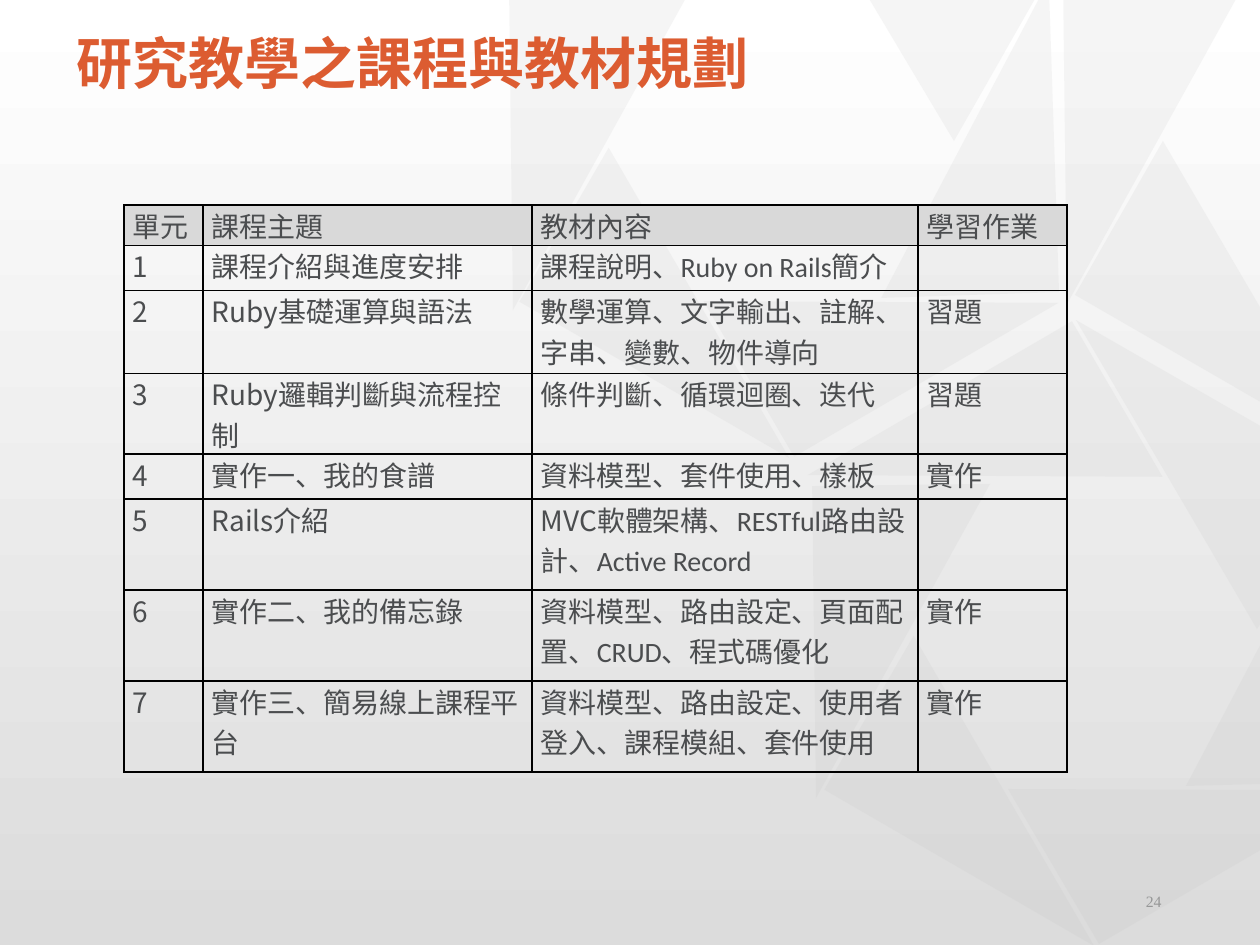
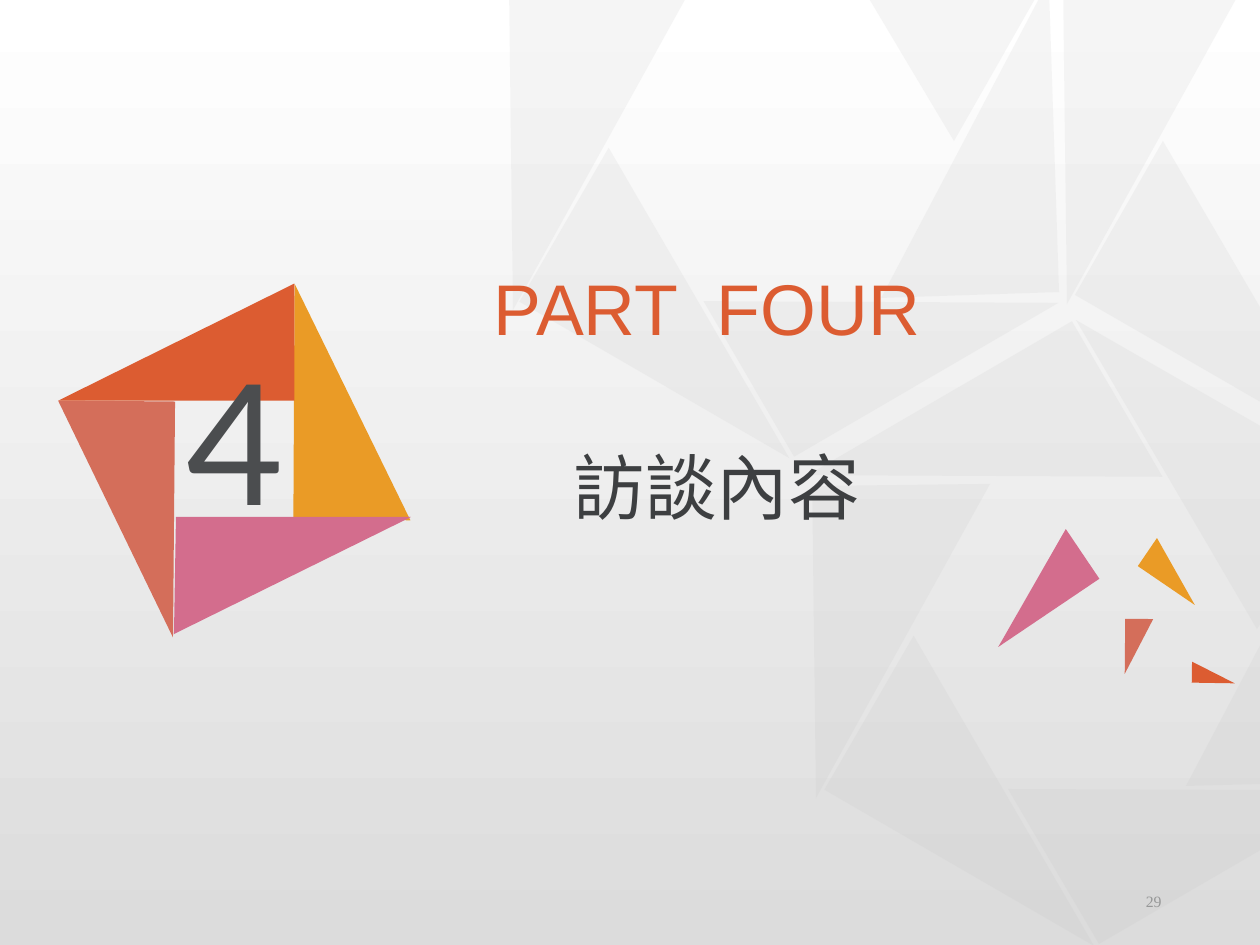
from itertools import takewhile

from lxml.etree import SubElement
from pptx import Presentation
from pptx.dml.color import RGBColor
from pptx.enum.shapes import MSO_SHAPE
from pptx.enum.text import MSO_ANCHOR, MSO_AUTO_SIZE, PP_ALIGN
from pptx.oxml.ns import qn
from pptx.util import Emu, Pt

PX = 914400 / 126
SLIDE_WIDTH, SLIDE_HEIGHT = 1260, 945
ORANGE, AMBER, CORAL, PINK = "DC5C31", "EA9B26", "D46E5A", "D36D8D"
INK, DARK, PAGE_GRAY = "4B4D4F", "3D3F41", "969797"
FACET_GRAY, HEADER_GRAY, BLACK = "BFBFBF", "D9D9D9", "000000"
CJK, CJK_JP = "Noto Sans CJK SC", "Noto Sans CJK JP"

FACET_TRIANGLES = [
    (832, 386, 306, 180, 149.8), (747, 552, 312, 178, 89.3),
    (848, 702, 312, 178, 30.1), (998, 58, 312, 178, 89.3),
    (444, 64, 312, 178, 89.3), (543, 214, 312, 178, 30.1),
    (728, 212, 306, 180, 329.8), (809, 50, 312, 178, 268.1),
]
FACET_OUTLINES = [
    [(1008, 789), (1264, 790), (1264, 848), (1099, 944)],
    [(1264, 638), (1264, 784), (1186, 786)],
    [(1076, 320), (1264, 428), (1264, 619), (1257, 629)],
    [(1163, 141), (1264, 314), (1264, 404), (1075, 295)],
    [(868, -3), (1036, -3), (954, 141)],
]
COURSE_COLUMNS = [79, 329, 386, 149]
COURSE_HEIGHTS = [39, 45, 83, 45, 45, 91, 91, 91]
COURSE_ROWS = [
    ("單元", "課程主題", "教材內容", "學習作業"),
    ("1", "課程介紹與進度安排", "課程說明、Ruby on Rails簡介", ""),
    ("2", "Ruby基礎運算與語法", "數學運算、文字輸出、註解、字串、變數、物件導向", "習題"),
    ("3", "Ruby邏輯判斷與流程控制", "條件判斷、循環迴圈、迭代", "習題"),
    ("4", "實作一、我的食譜", "資料模型、套件使用、樣板", "實作"),
    ("5", "Rails介紹", "MVC軟體架構、RESTful路由設計、Active Record", ""),
    ("6", "實作二、我的備忘錄", "資料模型、路由設定、頁面配置、CRUD、程式碼優化", "實作"),
    ("7", "實作三、簡易線上課程平台", "資料模型、路由設定、使用者登入、課程模組、套件使用", "實作"),
]


def px(*lengths):
    """Turn pixel lengths into EMU."""
    return [Emu(round(length * PX)) for length in lengths]


def color(value):
    """Turn a hex string into a colour."""
    return RGBColor.from_string(value)


def paint(shape, fill, alpha=None):
    """Give a shape a plain fill without line or shadow."""
    shape.shadow.inherit = False
    shape.line.fill.background()
    shape.fill.solid()
    shape.fill.fore_color.rgb = color(fill)
    if alpha:
        fill_color = shape.element.spPr.find(f"{qn('a:solidFill')}/{qn('a:srgbClr')}")
        SubElement(fill_color, qn("a:alpha"), val=str(alpha * 1000))
    return shape


def add_triangle(slide, left, top, width, height, rotation, fill, alpha=None, flip=False):
    """Add a rotated right triangle."""
    shape = slide.shapes.add_shape(MSO_SHAPE.RIGHT_TRIANGLE, *px(left, top, width, height))
    shape.rotation = rotation
    if flip:
        shape.element.spPr.get_or_add_xfrm().set("flipH", "1")
    return paint(shape, fill, alpha)


def add_outline(slide, points, fill, alpha=None):
    """Add a closed polygon."""
    builder = slide.shapes.build_freeform(*points[0], scale=PX)
    builder.add_line_segments(points[1:], close=True)
    return paint(builder.convert_to_shape(), fill, alpha)


def add_run(paragraph, text, size, font, ink, bold=False, asian=CJK):
    """Add a formatted run to a paragraph."""
    run = paragraph.add_run()
    run.text = text
    run.font.size = Pt(size)
    run.font.name = font
    run.font.bold = bold
    run.font.color.rgb = color(ink)
    SubElement(run.font._element, qn("a:ea"), typeface=asian)


def write_text(shape, text, align=PP_ALIGN.LEFT, anchor=MSO_ANCHOR.TOP,
               spacing=1.0, fit=MSO_AUTO_SIZE.NONE, **run_format):
    """Write one formatted paragraph into a shape."""
    frame = shape.text_frame
    frame.word_wrap = True
    frame.auto_size = fit
    frame.vertical_anchor = anchor
    paragraph = frame.paragraphs[0]
    paragraph.alignment = align
    paragraph.line_spacing = spacing
    add_run(paragraph, text, **run_format)


def add_text(slide, box, text, **text_format):
    """Add a text box."""
    write_text(slide.shapes.add_textbox(*px(*box)), text, **text_format)


def set_title(slide, box, text, **text_format):
    """Move and fill the title placeholder."""
    title = slide.shapes.title
    title.left, title.top, title.width, title.height = px(*box)
    write_text(title, text, **text_format)


def add_page_number(slide, number):
    """Add the page number at the lower right."""
    add_text(slide, (890, 876, 284, 50), number, align=PP_ALIGN.RIGHT,
             anchor=MSO_ANCHOR.MIDDLE, size=9, font="Times New Roman", ink=PAGE_GRAY)


def build_backdrop(slide):
    """Draw the shared gradient and facets and move them to the master."""
    sheet = slide.shapes.add_shape(MSO_SHAPE.RECTANGLE, *px(0, -4, 1269, 950))
    sheet.shadow.inherit = False
    sheet.line.fill.background()
    sheet.fill.gradient()
    sheet.fill.gradient_angle = 90
    for stop, position, value in zip(sheet.fill.gradient_stops, (0, 1), ("DCDCDC", "FFFFFF")):
        stop.position = position
        stop.color.rgb = color(value)
    backdrop = [sheet]
    backdrop += [add_triangle(slide, *facet, FACET_GRAY, alpha=14) for facet in FACET_TRIANGLES]
    backdrop += [add_outline(slide, points, FACET_GRAY, alpha=14) for points in FACET_OUTLINES]
    master_tree = slide.slide_layout.slide_master.shapes.element
    for index, shape in enumerate(backdrop):
        shape.element.xpath(".//p:cNvPr")[0].set("id", str(100 + index))
        master_tree.insert(2 + index, shape.element)


def add_borders(cell):
    """Draw thin black lines around a cell."""
    properties = cell._tc.get_or_add_tcPr()
    for index, side in enumerate(("lnL", "lnR", "lnT", "lnB")):
        line = SubElement(properties, qn(f"a:{side}"), w=str(Pt(1)))
        fill = SubElement(line, qn("a:solidFill"))
        SubElement(fill, qn("a:srgbClr"), val=BLACK)
        properties.insert(index, line)


def fill_cell(cell, text, is_header):
    """Format a course cell, with its leading Latin part in the CJK font."""
    cell.margin_left, cell.margin_right, cell.margin_top, cell.margin_bottom = px(9, 9, 0, 0)
    if is_header:
        cell.fill.solid()
        cell.fill.fore_color.rgb = color(HEADER_GRAY)
    else:
        cell.fill.background()
    add_borders(cell)
    paragraph = cell.text_frame.paragraphs[0]
    paragraph.space_before = paragraph.space_after = Pt(6)
    prefix = "".join(takewhile(str.isascii, text))
    for part, font in ((prefix, CJK), (text[len(prefix):], "Calibri")):
        if part:
            add_run(paragraph, part, size=16, font=font, ink=INK)


def add_course_table(slide, left, top):
    """Add the course plan table."""
    frame = slide.shapes.add_table(
        len(COURSE_ROWS), len(COURSE_COLUMNS),
        *px(left, top, sum(COURSE_COLUMNS), sum(COURSE_HEIGHTS)))
    table = frame.table
    table.first_row = table.horz_banding = False
    for column, width in zip(table.columns, px(*COURSE_COLUMNS)):
        column.width = width
    for row, height in zip(table.rows, px(*COURSE_HEIGHTS)):
        row.height = height
    for row_index, texts in enumerate(COURSE_ROWS):
        for column_index, text in enumerate(texts):
            fill_cell(table.cell(row_index, column_index), text, row_index == 0)


def add_number_pinwheel(slide, left, top, number):
    """Add four triangles turning around a section number."""
    blades = [(0, 117, 180.5, CORAL), (237, 0, 0.3, AMBER), (61, -60, 270, ORANGE)]
    for x, y, rotation, fill in blades:
        add_triangle(slide, left + x, top + y, 117, 236, rotation, fill)
    corners = [(119, 233), (354, 233), (117, 350)]
    add_outline(slide, [(left + x, top + y) for x, y in corners], PINK)
    add_text(slide, (left + 98, top + 47, 161, 217), number, align=PP_ALIGN.CENTER,
             fit=MSO_AUTO_SIZE.SHAPE_TO_FIT_TEXT, size=96, font="Lato", ink=INK)


def add_shards(slide, left, top):
    """Add the small scattered triangles."""
    shards = [
        (4, 0, 60, 122, 236, PINK, False),
        (127, 92, 28, 55, 180.5, CORAL, True),
        (161, 10, 34, 69, 124.3, AMBER, True),
        (205, 124, 21, 43, 90.9, ORANGE, True),
    ]
    for x, y, width, height, rotation, fill, flip in shards:
        add_triangle(slide, left + x, top + y, width, height, rotation, fill, flip=flip)


def build_course_slide(slide):
    """Build the course plan slide."""
    set_title(slide, (64, 10, 1132, 113), "研究教學之課程與教材規劃", anchor=MSO_ANCHOR.MIDDLE,
              spacing=0.9, size=32, font=CJK, ink=ORANGE, bold=True)
    add_course_table(slide, 124, 205)
    add_page_number(slide, "24")


def build_section_slide(slide):
    """Build the section divider slide."""
    add_number_pinwheel(slide, 57, 284, "4")
    set_title(slide, (402, 257, 630, 146), "PART  FOUR ", align=PP_ALIGN.CENTER,
              size=41, font="Arial", ink=ORANGE)
    add_text(slide, (402, 437, 630, 161), "訪談內容", align=PP_ALIGN.CENTER,
             size=41, font=CJK_JP, ink=DARK, asian=CJK_JP)
    add_shards(slide, 998, 527)
    add_page_number(slide, "29")


def main():
    """Build and save the presentation."""
    presentation = Presentation()
    presentation.slide_width, presentation.slide_height = px(SLIDE_WIDTH, SLIDE_HEIGHT)
    title_only = presentation.slide_layouts[5]
    course_slide, section_slide = [presentation.slides.add_slide(title_only) for _ in range(2)]
    build_backdrop(course_slide)
    build_course_slide(course_slide)
    build_section_slide(section_slide)
    presentation.save("out.pptx")


if __name__ == "__main__":
    main()
